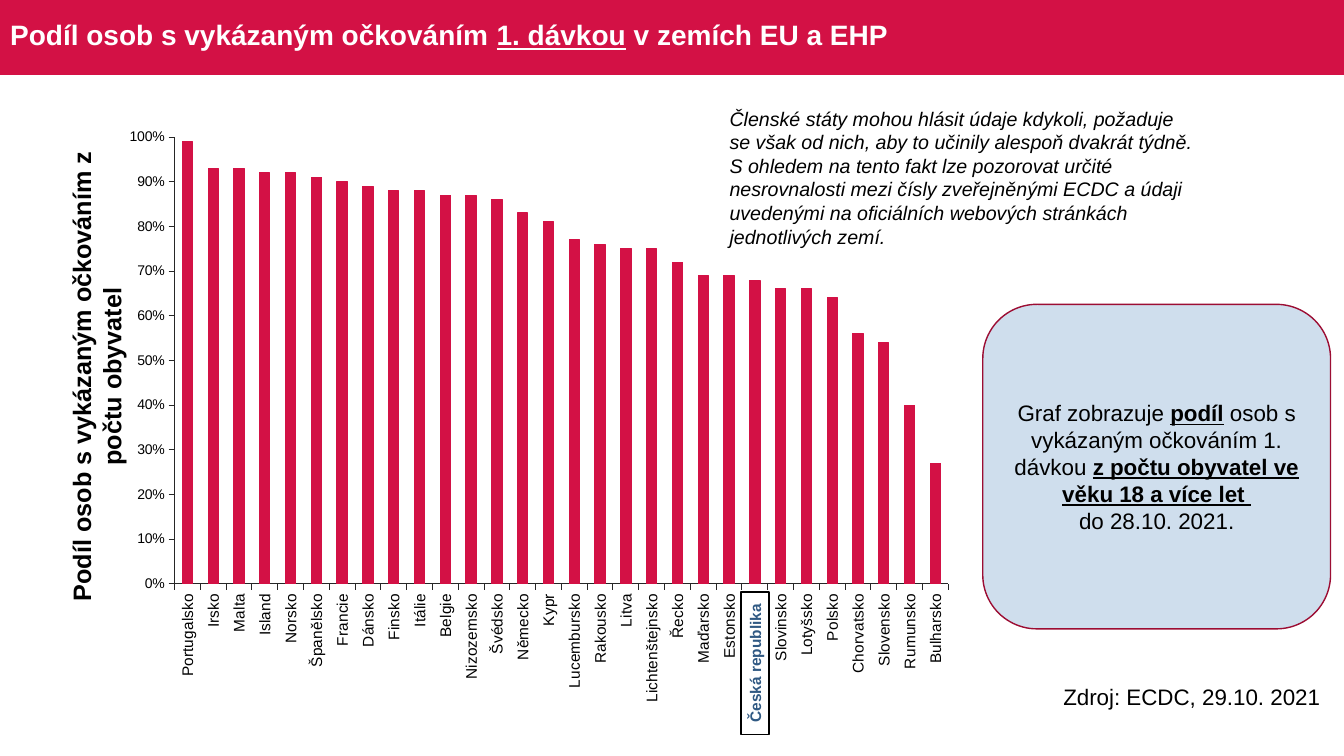
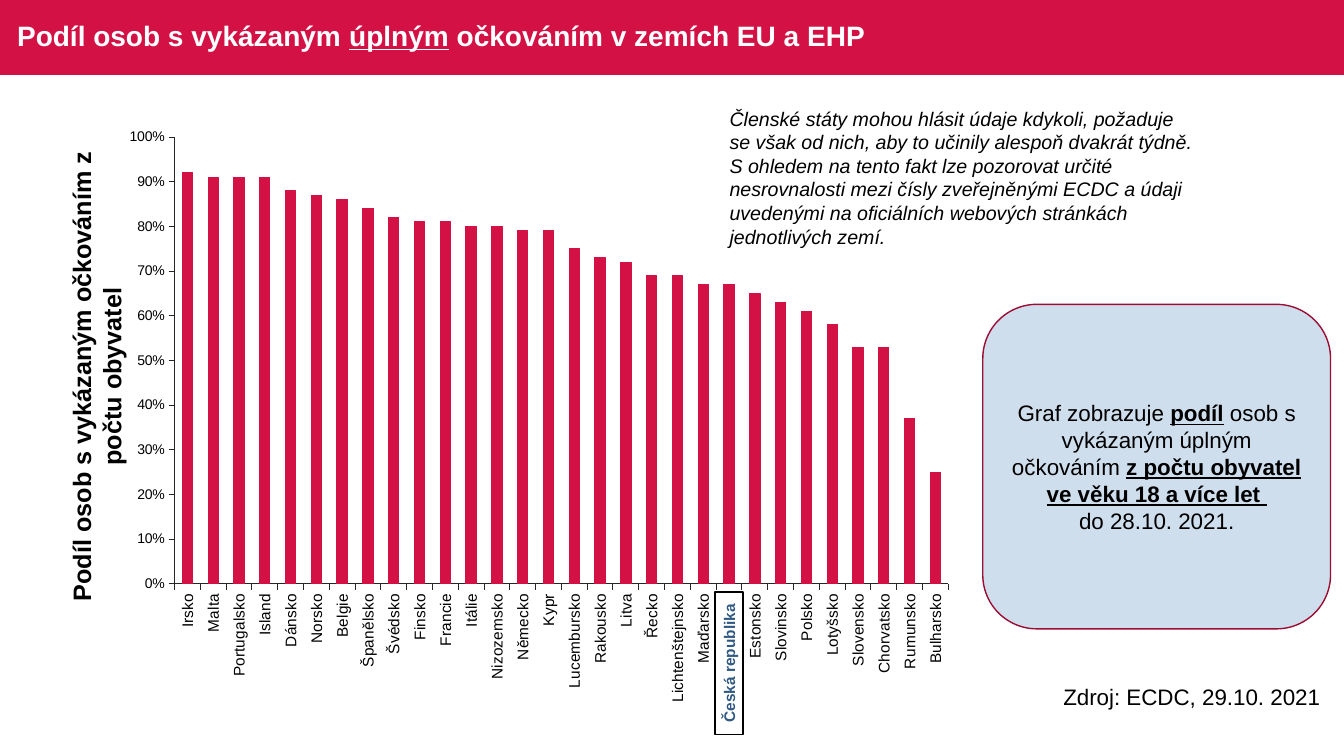
from pptx import Presentation
from pptx.chart.data import CategoryChartData
from pptx.dml.color import RGBColor
from pptx.enum.chart import XL_CHART_TYPE, XL_TICK_MARK
from pptx.enum.shapes import MSO_SHAPE
from pptx.enum.text import MSO_ANCHOR, MSO_AUTO_SIZE, PP_ALIGN
from pptx.oxml import parse_xml
from pptx.oxml.ns import nsdecls
from pptx.util import Pt

COLORS = {
    "crimson": "D31145",
    "dark_red": "9C0D33",
    "pale_blue": "CFDEED",
    "blue": "305983",
    "axis": "262626",
    "black": "000000",
    "white": "FFFFFF",
}
FONT = "Arial"
HIGHLIGHTED = "Česká republika"
AXIS_TITLE = "Podíl osob s vykázaným očkováním z počtu obyvatel"
SOURCE = "Zdroj: ECDC, 29.10. 2021"
DISCLAIMER = (
    "Členské státy mohou hlásit údaje kdykoli, požaduje se však od nich, aby to učinily "
    "alespoň dvakrát týdně. S ohledem na tento fakt lze pozorovat určité nesrovnalosti mezi "
    "čísly zveřejněnými ECDC a údaji uvedenými na oficiálních webových stránkách jednotlivých zemí."
)
CHART_LEFT, CHART_TOP, CHART_WIDTH, CHART_HEIGHT = 83.5, 77.8, 604.8, 428.4
PLOT = {"x": 0.068, "y": 0.047, "w": 0.914, "h": 0.745}
MARKER_WIDTH, MARKER_HEIGHT, MARKER_MIDDLE = 102, 20, 473.8

SLIDES = [
    {
        "title": [("Podíl osob s vykázaným očkováním ", "b"), ("1. dávkou", "bu"), (" v zemích EU a EHP", "b")],
        "title_box": (0, -0.5, 658, 53.5),
        "population": "osob s vykázaným očkováním 1. dávkou ",
        "shares": {
            "Portugalsko": 0.99, "Irsko": 0.93, "Malta": 0.93, "Island": 0.92, "Norsko": 0.92,
            "Španělsko": 0.91, "Francie": 0.9, "Dánsko": 0.89, "Finsko": 0.88, "Itálie": 0.88,
            "Belgie": 0.87, "Nizozemsko": 0.87, "Švédsko": 0.86, "Německo": 0.83, "Kypr": 0.81,
            "Lucembursko": 0.77, "Rakousko": 0.76, "Litva": 0.75, "Lichtenštejnsko": 0.75, "Řecko": 0.72,
            "Maďarsko": 0.69, "Estonsko": 0.69, "Česká republika": 0.68, "Slovinsko": 0.66, "Lotyšsko": 0.66,
            "Polsko": 0.64, "Chorvatsko": 0.56, "Slovensko": 0.54, "Rumunsko": 0.4, "Bulharsko": 0.27,
        },
    },
    {
        "title": [("Podíl osob s vykázaným ", "b"), ("úplným", "bu"), (" očkováním v zemích EU a EHP", "b")],
        "title_box": (5, 0, 631, 53.5),
        "population": "osob s vykázaným úplným očkováním ",
        "shares": {
            "Irsko": 0.92, "Malta": 0.91, "Portugalsko": 0.91, "Island": 0.91, "Dánsko": 0.88,
            "Norsko": 0.87, "Belgie": 0.86, "Španělsko": 0.84, "Švédsko": 0.82, "Finsko": 0.81,
            "Francie": 0.81, "Itálie": 0.8, "Nizozemsko": 0.8, "Německo": 0.79, "Kypr": 0.79,
            "Lucembursko": 0.75, "Rakousko": 0.73, "Litva": 0.72, "Řecko": 0.69, "Lichtenštejnsko": 0.69,
            "Maďarsko": 0.67, "Česká republika": 0.67, "Estonsko": 0.65, "Slovinsko": 0.63, "Polsko": 0.61,
            "Lotyšsko": 0.58, "Slovensko": 0.53, "Chorvatsko": 0.53, "Rumunsko": 0.37, "Bulharsko": 0.25,
        },
    },
]


def write_text(shape, paragraphs, size, color="black", align=PP_ALIGN.LEFT, anchor=MSO_ANCHOR.TOP):
    text_frame = shape.text_frame
    text_frame.word_wrap = True
    text_frame.auto_size = MSO_AUTO_SIZE.NONE
    text_frame.vertical_anchor = anchor
    for index, runs in enumerate(paragraphs):
        paragraph = text_frame.add_paragraph() if index else text_frame.paragraphs[0]
        paragraph.alignment = align
        for text, style in runs:
            run = paragraph.add_run()
            run.text = text
            run.font.name = FONT
            run.font.size = Pt(size)
            run.font.color.rgb = RGBColor.from_string(COLORS[color])
            run.font.bold = "b" in style
            run.font.italic = "i" in style
            run.font.underline = "u" in style


def add_box(slide, preset, left, top, width, height, fill, line=None):
    shape = slide.shapes.add_shape(preset, Pt(left), Pt(top), Pt(width), Pt(height))
    shape.shadow.inherit = False
    shape.fill.solid()
    shape.fill.fore_color.rgb = RGBColor.from_string(COLORS[fill])
    if line:
        shape.line.color.rgb = RGBColor.from_string(COLORS[line])
        shape.line.width = Pt(1)
    else:
        shape.line.fill.background()
    return shape


presentation = Presentation()
presentation.slide_width = Pt(960)
presentation.slide_height = Pt(540)
layout = presentation.slide_layouts[5]

for number, content in enumerate(SLIDES):
    slide = presentation.slides.add_slide(layout)
    if number == 0:
        band = add_box(slide, MSO_SHAPE.RECTANGLE, 0, 0, 960, 53.5, "crimson")
        layout.shapes.element.insert(2, band.element)

    axis_title = slide.shapes.add_textbox(Pt(-111.6), Pt(243.4), Pt(361.4), Pt(51))
    axis_title.rotation = 270
    write_text(axis_title, [[(AXIS_TITLE, "b")]], 18, align=PP_ALIGN.CENTER)

    countries = list(content["shares"])
    chart_data = CategoryChartData(number_format="0%")
    chart_data.categories = countries
    chart_data.add_series("Series 1", content["shares"].values())
    chart = slide.shapes.add_chart(
        XL_CHART_TYPE.COLUMN_CLUSTERED,
        Pt(CHART_LEFT), Pt(CHART_TOP), Pt(CHART_WIDTH), Pt(CHART_HEIGHT), chart_data,
    ).chart
    chart.has_legend = False
    chart.has_title = False
    chart.font.name = FONT
    chart.font.size = Pt(10)
    plot = chart.plots[0]
    plot.gap_width = 150
    plot.vary_by_categories = False
    bars = plot.series[0].format
    bars.fill.solid()
    bars.fill.fore_color.rgb = RGBColor.from_string(COLORS["crimson"])
    bars.line.color.rgb = RGBColor.from_string(COLORS["crimson"])
    bars.line.width = Pt(0.75)

    for axis, size in ((chart.category_axis, 11), (chart.value_axis, 10)):
        axis.has_major_gridlines = False
        axis.major_tick_mark = XL_TICK_MARK.OUTSIDE
        axis.minor_tick_mark = XL_TICK_MARK.NONE
        axis.format.line.color.rgb = RGBColor.from_string(COLORS["axis"])
        axis.format.line.width = Pt(0.75)
        axis.tick_labels.font.name = FONT
        axis.tick_labels.font.size = Pt(size)
        axis.tick_labels.font.color.rgb = RGBColor.from_string(COLORS["black"])
    chart.value_axis.minimum_scale = 0
    chart.value_axis.maximum_scale = 1
    chart.value_axis.major_unit = 0.1
    chart.value_axis.tick_labels.number_format = "0%"
    chart.value_axis.tick_labels.number_format_is_linked = False
    label_body = chart.element.xpath(".//c:catAx/c:txPr/a:bodyPr")[0]
    label_body.set("rot", "-5400000")
    label_body.set("vert", "horz")

    for automatic_layout in chart.element.xpath(".//c:plotArea/c:layout"):
        automatic_layout.getparent().remove(automatic_layout)
    modes = '<c:layoutTarget val="inner"/><c:xMode val="edge"/><c:yMode val="edge"/>'
    sizes = "".join(f'<c:{key} val="{value}"/>' for key, value in PLOT.items())
    plot_area = chart.element.xpath(".//c:plotArea")[0]
    plot_area.insert(0, parse_xml(
        f'<c:layout {nsdecls("c")}><c:manualLayout>{modes}{sizes}</c:manualLayout></c:layout>'
    ))

    callout = add_box(slide, MSO_SHAPE.ROUNDED_RECTANGLE, 702, 217.4, 248.4, 231.8, "pale_blue", "dark_red")
    explanation = [
        [
            ("Graf zobrazuje ", ""),
            ("podíl", "bu"),
            (" " + content["population"], ""),
            ("z počtu obyvatel ve věku 18 a více let ", "bu"),
        ],
        [("do 28.10. 2021.", "")],
    ]
    write_text(callout, explanation, 16, align=PP_ALIGN.CENTER, anchor=MSO_ANCHOR.MIDDLE)

    title = slide.shapes.title
    title.left, title.top, title.width, title.height = map(Pt, content["title_box"])
    write_text(title, [content["title"]], 20, "white", anchor=MSO_ANCHOR.MIDDLE)
    title.text_frame.paragraphs[0].line_spacing = 0.9

    slot = CHART_WIDTH * PLOT["w"] / len(countries)
    center = CHART_LEFT + CHART_WIDTH * PLOT["x"] + slot * (countries.index(HIGHLIGHTED) + 0.5)
    marker = add_box(
        slide, MSO_SHAPE.RECTANGLE,
        center - MARKER_WIDTH / 2, MARKER_MIDDLE - MARKER_HEIGHT / 2, MARKER_WIDTH, MARKER_HEIGHT,
        "white", "black",
    )
    marker.rotation = 270
    write_text(marker, [[(HIGHLIGHTED, "b")]], 11, "blue", PP_ALIGN.CENTER, MSO_ANCHOR.MIDDLE)

    source = slide.shapes.add_textbox(Pt(752.4), Pt(484.6), Pt(207), Pt(26.6))
    write_text(source, [[(SOURCE, "")]], 16)

    disclaimer = slide.shapes.add_textbox(Pt(514), Pt(72.7), Pt(350), Pt(108.7))
    write_text(disclaimer, [[(DISCLAIMER, "i")]], 14)

presentation.save("out.pptx")
